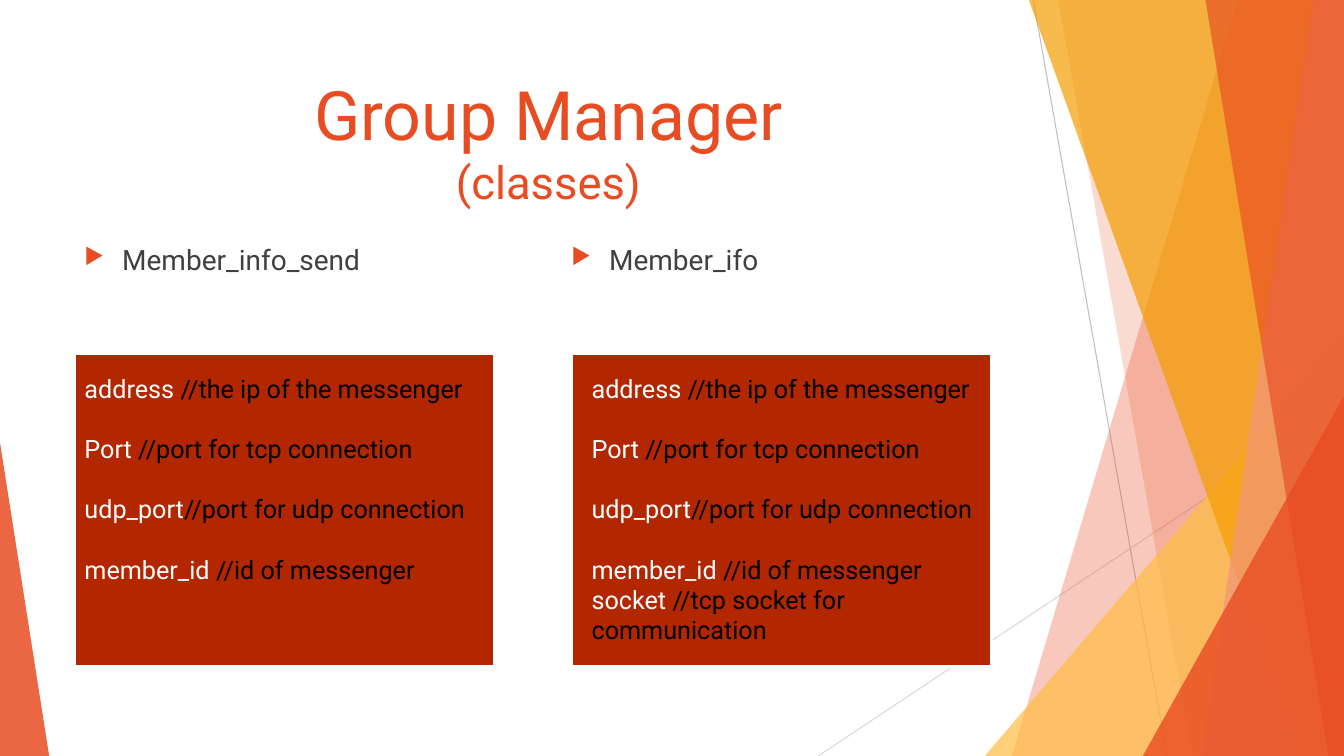
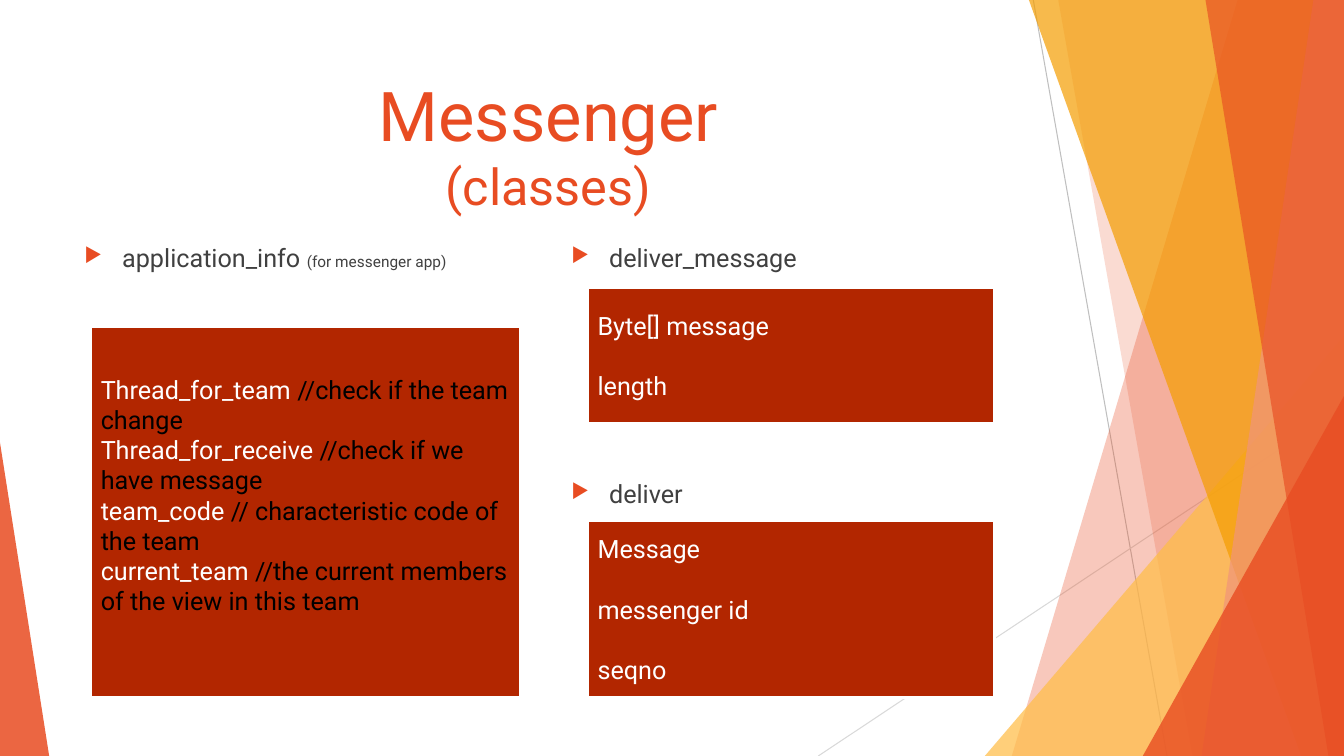
from lxml import etree
from pptx import Presentation
from pptx.dml.color import RGBColor as RGB
from pptx.enum.shapes import MSO_CONNECTOR as LINK, MSO_SHAPE as SHAPE
from pptx.enum.text import MSO_ANCHOR as ANCHOR, PP_ALIGN as ALIGN
from pptx.oxml.ns import qn
from pptx.util import Cm, Pt

# Shared style
WIDE, HIGH = 33.87, 19.05
FONT = "Roboto"
RED = RGB(0xE8, 0x4C, 0x22)
ROSE = RGB(0xF1, 0x94, 0x7A)
AMBER = RGB(0xF4, 0x9D, 0x00)
GOLD = RGB(0xFF, 0xBD, 0x47)
RUST = RGB(0xB2, 0x26, 0x00)
WHITE = RGB(0xFF, 0xFF, 0xFF)
BLACK = RGB(0x00, 0x00, 0x00)
INK = RGB(0x40, 0x40, 0x40)
GREY = RGB(0xBF, 0xBF, 0xBF)
PALE = RGB(0xD9, 0xD9, 0xD9)
GAP = 21.6

# Columns shared by both slides
LEFT, RIGHT, TOP, SPAN = 1.88, 14.15, 5.99, 11.63


def sub(node, tag, **attrs):
    return etree.SubElement(node, qn(tag), attrs)


def code(*rows, size=18):
    """Colour each row: name in white, note after // in black."""
    out = []
    for row in rows:
        name, mark, note = row.partition("//")
        runs = [(name, size, WHITE)]
        if mark:
            runs.append((mark + note, size, BLACK))
        out.append(runs)
    return out


class Deck:
    def __init__(self):
        self.prs = Presentation()
        self.prs.slide_width, self.prs.slide_height = Cm(WIDE), Cm(HIGH)

    # Slide with its backdrop
    def page(self):
        self.slide = self.prs.slides.add_slide(self.prs.slide_layouts[6])
        self.items = self.slide.shapes
        self.line((26.04, 0), (29.41, HIGH), GREY)
        self.line((WIDE, 10.24), (20.62, HIGH), PALE)
        self.band(31.19, 25.5, RED, 30)
        self.band(26.67, 30.05, RED, 20)
        self.wedge(24.82, 8.46, WIDE - 24.82, 1, GOLD, 72)
        self.band(25.93, 32.79, AMBER, 70)
        self.band(33.1, 30.28, ROSE, 70)
        self.band(30.38, 33.48, RED, 65)
        self.wedge(28.8, 9.98, WIDE - 28.8, 1, RED, 80)
        self.wedge(0, 11.15, 1.24, 0, RED, 85)

    def line(self, start, end, color):
        link = self.items.add_connector(
            LINK.STRAIGHT, *(Cm(v) for v in start + end))
        link.line.color.rgb = color
        link.line.width = Pt(0.75)
        sub(link._element.spPr, "a:effectLst")

    def paint(self, shape, color, alpha=100):
        shape.shadow.inherit = False
        shape.fill.solid()
        shape.fill.fore_color.rgb = color
        shape.line.fill.background()
        if alpha < 100:
            tint = shape._element.spPr.find(".//" + qn("a:srgbClr"))
            sub(tint, "a:alpha", val=str(alpha * 1000))

    def band(self, top, base, color, alpha):
        """Strip from a slanted left edge to the right side of the slide."""
        form = self.items.build_freeform(Cm(top), 0)
        form.add_line_segments([(Cm(x), Cm(y)) for x, y in (
            (WIDE, 0), (WIDE, HIGH), (base, HIGH))])
        self.paint(form.convert_to_shape(), color, alpha)

    def wedge(self, left, top, wide, tip, color, alpha):
        """Triangle standing on the bottom of the slide."""
        shape = self.items.add_shape(
            SHAPE.ISOSCELES_TRIANGLE, *map(Cm, (left, top, wide, HIGH - top)))
        shape.adjustments[0] = tip
        self.paint(shape, color, alpha)

    # Text
    def put(self, par, runs):
        for text, size, color in runs:
            run = par.add_run()
            run.text = text
            for key, val in {"name": FONT, "size": Pt(size)}.items():
                setattr(run.font, key, val)
            run.font.color.rgb = color

    def fill(self, frame, rows, gap=0, anchor=ANCHOR.TOP):
        form = {"word_wrap": True, "vertical_anchor": anchor}
        for key, val in form.items():
            setattr(frame, key, val)
        for num, runs in enumerate(rows):
            par = frame.add_paragraph() if num else frame.paragraphs[0]
            par.alignment = ALIGN.LEFT
            if num:
                par.space_before = Pt(gap)
            self.put(par, runs)
        return frame

    def text(self, box, rows=(), gap=0):
        shape = self.items.add_textbox(*map(Cm, box))
        return self.fill(shape.text_frame, rows, gap)

    def title(self, head, tail, high, sizes):
        par = self.text((LEFT, 1.7, 23.88, high)).paragraphs[0]
        par.alignment = ALIGN.CENTER
        self.put(par, [(head, sizes[0], RED)])
        par.add_line_break()
        self.put(par, [(tail, sizes[1], RED)])

    def bullet(self, left, top, high, *parts):
        runs = [(text, size, INK) for text, size in parts]
        frame = self.text((left, top, SPAN, high), [runs])
        props = frame.paragraphs[0]._p.get_or_add_pPr()
        dent = Cm(0.95)
        for key, val in {"marL": dent, "indent": -dent}.items():
            props.set(key, str(val))
        sub(sub(props, "a:buClr"), "a:srgbClr", val=str(RED))
        sub(props, "a:buSzPct", val="80000")
        sub(props, "a:buChar", char="▶")

    def panel(self, box, rows=()):
        shape = self.items.add_shape(SHAPE.RECTANGLE, *map(Cm, box))
        self.paint(shape, RUST)
        shape.line.color.rgb = WHITE
        shape.line.width = Pt(2)
        if rows:
            self.fill(shape.text_frame, rows, GAP, ANCHOR.MIDDLE)


def group(deck):
    deck.page()
    deck.title("Group Manager", "(classes)", 3.66, (48.6, 32.4))
    deck.bullet(LEFT, TOP, 10.77, ("Member_info_send", 20))
    deck.bullet(RIGHT, TOP, 10.77, ("Member_ifo", 20))
    rows = code("address //the ip of the messenger",
                "Port //port for tcp connection",
                "udp_port//port for udp connection",
                "member_id //id of messenger")
    wide = 10.59
    deck.panel((LEFT, 8.92, wide, 7.87))
    deck.text((LEFT, 9.27, wide, 5.64), rows, GAP)
    deck.panel((14.4, 8.92, wide, 7.87))
    more = code("socket //tcp socket for communication")
    frame = deck.text((14.66, 9.27, wide, 7.19), rows + more, GAP)
    frame.paragraphs[-1].space_before = Pt(0)


def sender(deck):
    deck.page()
    deck.bullet(LEFT, TOP, 10.77,
                ("application_info ", 18), ("(for messenger app)", 11))
    deck.bullet(RIGHT, TOP, 5.26, ("deliver_message", 18))
    deck.title("Messenger", "(classes)", 4.04, (49, 36))
    deck.bullet(RIGHT, 11.94, 5.26, ("deliver", 18))
    deck.panel((2.29, 8.23, 10.82, 9.35))
    deck.text((2.29, 9.3, 10.82, 6.4), code(
        "Thread_for_team //check if the team change",
        "Thread_for_receive //check if we have message",
        "team_code // characteristic code of the team",
        "current_team //the current members of the view in this team"))
    deck.panel((14.81, 7.24, 10.26, 3.43), code("Byte[] message", "length"))
    deck.panel((14.81, 13.13, 10.26, 4.45),
               code("Message", "messenger id", "seqno"))


def main():
    deck = Deck()
    group(deck)
    sender(deck)
    deck.prs.save("out.pptx")


if __name__ == "__main__":
    main()
